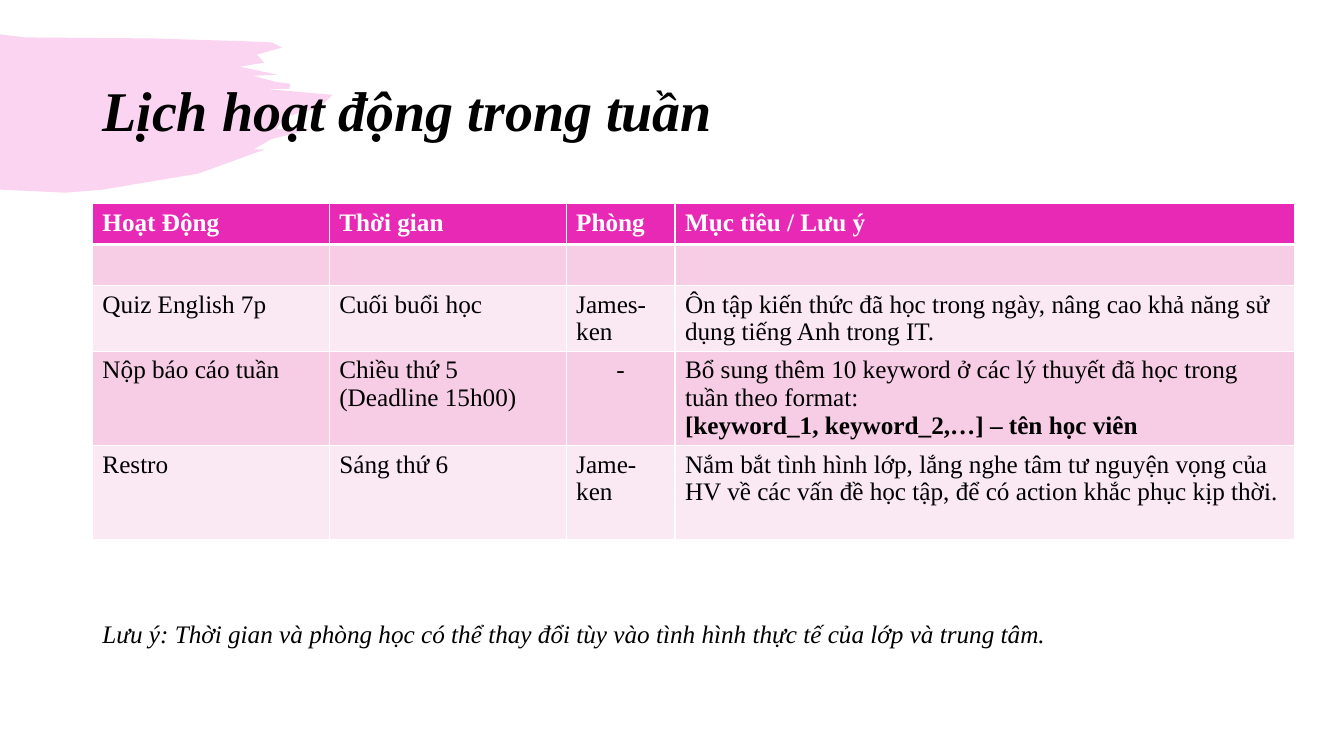
from dataclasses import dataclass

from lxml import etree
from pptx import Presentation
from pptx.dml.color import RGBColor
from pptx.enum.text import MSO_ANCHOR, MSO_AUTO_SIZE, PP_ALIGN
from pptx.oxml.ns import qn
from pptx.util import Emu, Inches, Pt

LEFT, CENTER = PP_ALIGN.LEFT, PP_ALIGN.CENTER
MIDDLE, TOP = MSO_ANCHOR.MIDDLE, MSO_ANCHOR.TOP
NO_FIT = MSO_AUTO_SIZE.NONE

WIDTH, HEIGHT = Inches(13.33), Inches(7.5)
COLS, ROWS = 160, 90


@dataclass(frozen=True)
class Theme:
    """Colours and type sizes of the slide."""
    face: str = "Times New Roman"
    ink: str = "000000"
    white: str = "FFFFFF"
    pink: str = "E729B5"
    bands: tuple = ("F6CDE5", "FAE8F3")
    title: int = 40
    body: int = 18


THEME = Theme()

BRUSH_W, BRUSH_H = 330, 157
BRUSH = [
    (25, 3), (151, 4), (248, 7), (270, 8), (280, 13), (255, 20), (262, 28),
    (238, 32), (275, 40), (251, 41), (273, 47), (288, 49), (287, 54),
    (263, 54), (330, 60), (318, 72), (283, 82), (274, 94), (308, 94),
    (269, 104), (252, 114), (263, 114), (197, 138), (102, 154), (65, 157), (0, 154),
]

WIDTHS = (28.2, 28.2, 12.96, 73.8)
HEIGHTS = (4.88, 4.88, 7.8, 11.2, 11.2)
CELLS = [
    ("Hoạt Động", "Thời gian", "Phòng", "Mục tiêu / Lưu ý"),
    ("", "", "", ""),
    ("Quiz English 7p", "Cuối buổi học", "James-ken",
     "Ôn tập kiến thức đã học trong ngày, nâng cao khả năng sử dụng tiếng Anh trong IT."),
    ("Nộp báo cáo tuần", "Chiều thứ 5\n(Deadline 15h00)", "-",
     "Bổ sung thêm 10 keyword ở các lý thuyết đã học trong tuần theo format:"
     "\v[keyword_1, keyword_2,…] – tên học viên"),
    ("Restro", "Sáng thứ 6", "Jame-ken",
     "Nắm bắt tình hình lớp, lắng nghe tâm tư nguyện vọng của HV về các vấn đề "
     "học tập, để có action khắc phục kịp thời."),
]


def grid(col, row, wide, high):
    """Turn grid columns and rows into a box of lengths."""
    return (Emu(round(WIDTH * col / COLS)), Emu(round(HEIGHT * row / ROWS)),
            Emu(round(WIDTH * wide / COLS)), Emu(round(HEIGHT * high / ROWS)))


def apply(target, **values):
    """Set attributes from format values."""
    for name, value in values.items():
        setattr(target, name, value)


def style(run, size, color, **values):
    """Give a run its face, size, colour and marks."""
    apply(run.font, name=THEME.face, size=Pt(size), **values)
    run.font.color.rgb = RGBColor.from_string(color)


def brush(slide, box):
    """Draw the pale brush stroke behind the title."""
    left, top, wide, high = box
    pen = slide.shapes.build_freeform(0, 0)
    pen.add_line_segments([(x * wide / BRUSH_W, y * high / BRUSH_H) for x, y in BRUSH])
    shape = pen.convert_to_shape(left, top)
    shape.shadow.inherit = False
    shape.line.fill.background()
    shape.fill.solid()
    shape.fill.fore_color.rgb = RGBColor.from_string(THEME.pink)
    color = next(shape.element.spPr.iter(qn("a:srgbClr")))
    etree.SubElement(color, qn("a:alpha"), val="20000")
    slide.shapes.title.element.addprevious(shape.element)


def head(slide, box):
    """Place and format the title."""
    title = slide.shapes.title
    apply(title, **dict(zip(("left", "top", "width", "height"), box)))
    apply(title.text_frame, vertical_anchor=MIDDLE, word_wrap=True, auto_size=NO_FIT)
    line = title.text_frame.paragraphs[0]
    apply(line, alignment=LEFT, line_spacing=0.9)
    run = line.add_run()
    run.text = "Lịch hoạt động trong tuần"
    style(run, THEME.title, THEME.ink, bold=True, italic=True)


def edge(cell, first):
    """Draw the white borders of a cell."""
    props = cell._tc.get_or_add_tcPr()
    for side in "LRTB":
        points = 3 if first and side == "B" else 1
        line = etree.SubElement(props, qn(f"a:ln{side}"), w=str(Pt(points)))
        fill = etree.SubElement(line, qn("a:solidFill"))
        etree.SubElement(fill, qn("a:srgbClr"), val=THEME.white)


def fill_cell(cell, text, row):
    """Write and colour one cell."""
    first = row == 0
    edge(cell, first)
    cell.fill.solid()
    shade = THEME.pink if first else THEME.bands[(row - 1) % 2]
    cell.fill.fore_color.rgb = RGBColor.from_string(shade)
    cell.vertical_anchor = TOP
    frame = cell.text_frame
    for place, words in enumerate(text.split("\n") if text else []):
        line = frame.add_paragraph() if place else frame.paragraphs[0]
        line.alignment = CENTER if words == "-" else LEFT
        for part, piece in enumerate(words.split("\v")):
            if part:
                line.add_line_break()
            run = line.add_run()
            run.text = piece
            style(run, THEME.body, THEME.white if first else THEME.ink,
                  bold=first or part > 0)


def plan(slide, box):
    """Build the table of weekly events."""
    left, top, wide, high = box
    table = slide.shapes.add_table(len(CELLS), len(WIDTHS), left, top, wide, high).table
    for col, share in zip(table.columns, WIDTHS):
        col.width = Emu(round(wide * share / sum(WIDTHS)))
    for row, share in zip(table.rows, HEIGHTS):
        row.height = Emu(round(high * share / sum(HEIGHTS)))
    for row, texts in enumerate(CELLS):
        for col, text in enumerate(texts):
            fill_cell(table.cell(row, col), text, row)


def note(slide, box):
    """Write the remark below the table."""
    frame = slide.shapes.add_textbox(*box).text_frame
    frame.word_wrap = True
    run = frame.paragraphs[0].add_run()
    run.text = ("Lưu ý: Thời gian và phòng học có thể thay đổi tùy vào "
                "tình hình thực tế của lớp và trung tâm.")
    style(run, THEME.body, THEME.ink, italic=True)


def main():
    """Build and save the slide."""
    deck = Presentation()
    apply(deck, slide_width=WIDTH, slide_height=HEIGHT)
    slide = deck.slides.add_slide(deck.slide_layouts[5])
    brush(slide, grid(0, 4.1, 39.6, 18.84))
    head(slide, grid(11, 4.8, 138, 17.4))
    plan(slide, grid(11, 24.24, sum(WIDTHS), sum(HEIGHTS)))
    note(slide, grid(11, 73, 136, 4.8))
    deck.save("out.pptx")


if __name__ == "__main__":
    main()
